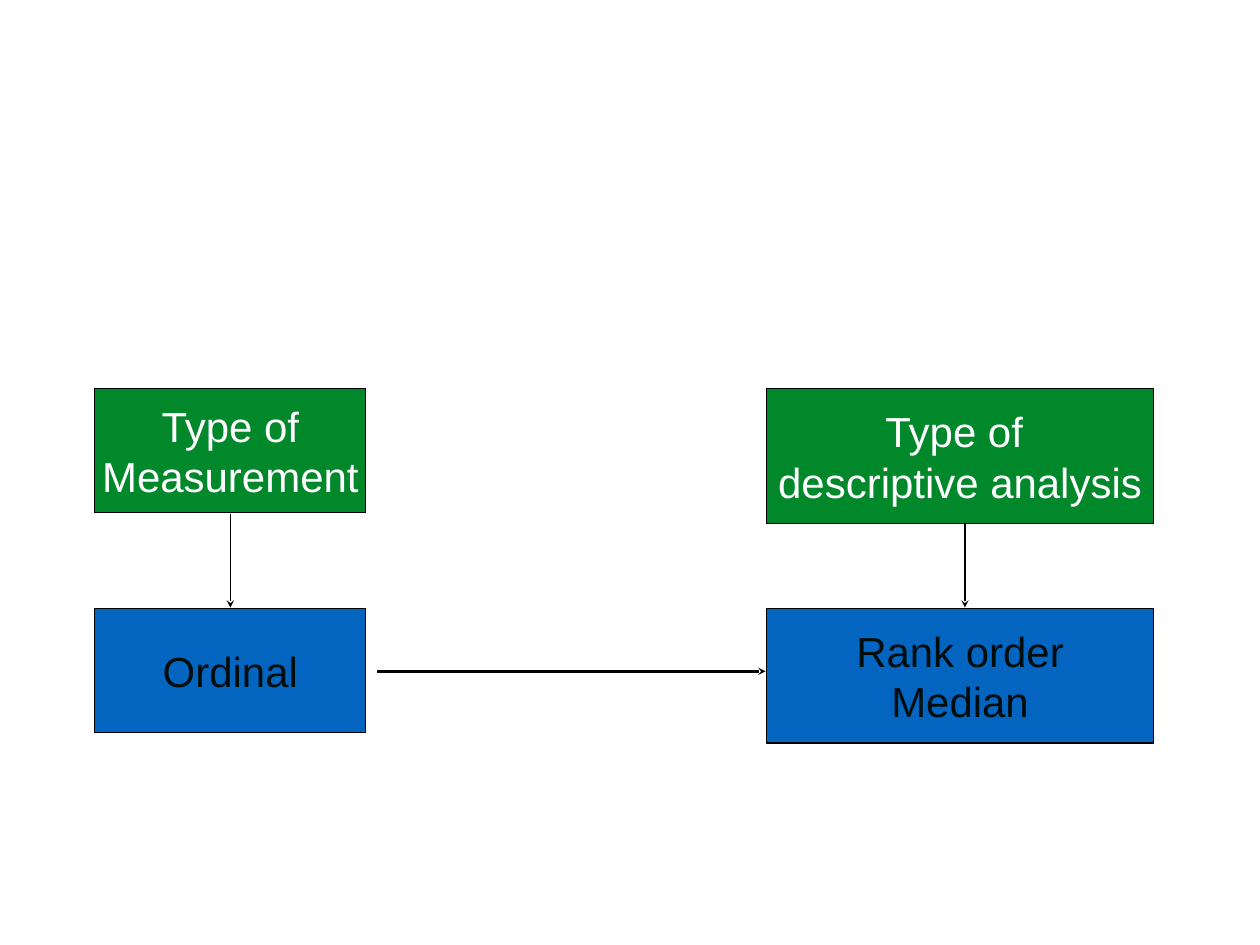
"""Build a slide that links a measurement type to its descriptive analysis."""
from dataclasses import dataclass

from lxml.etree import SubElement
from pptx import Presentation
from pptx.dml.color import RGBColor
from pptx.enum.shapes import MSO_CONNECTOR as Connector, MSO_SHAPE as Preset
from pptx.enum.text import MSO_ANCHOR as Anchor, PP_ALIGN as Align
from pptx.oxml.ns import qn
from pptx.slide import Slide
from pptx.util import Emu, Pt

PX = 9144
GREEN, BLUE = "00882B", "0365C0"
WHITE, INK, BLACK = "FFFFFF", "000D0D", "000000"
HEADING_TOP, RESULT_TOP = 439, 687


@dataclass(frozen=True)
class Column:
    left: int
    width: int
    height: int
    arrow_x: int
    heading: str
    result: str


@dataclass(frozen=True)
class Box:
    left: int
    top: int
    width: int
    height: int
    label: str
    fill: str
    ink: str


@dataclass(frozen=True)
class Arrow:
    start: tuple[int, int]
    end: tuple[int, int]
    weight: int = 1


COLUMNS = [
    Column(107, 306, 140, 260, "Type of\nMeasurement", "Ordinal"),
    Column(865, 437, 152, 1089, "Type of \ndescriptive analysis", "Rank order\nMedian"),
]


def px(length: int) -> Emu:
    """Turn px into EMU."""
    return Emu(length * PX)


def colour(code: str) -> RGBColor:
    """Turn a hex string into a colour."""
    return RGBColor.from_string(code)


def draw_box(slide: Slide, box: Box) -> None:
    """Draw a filled box with its centred label."""
    panel = slide.shapes.add_shape(
        Preset.RECTANGLE, px(box.left), px(box.top), px(box.width), px(box.height))
    panel.shadow.inherit = False
    panel.fill.solid()
    panel.fill.fore_color.rgb = colour(box.fill)
    panel.line.color.rgb = colour(BLACK)
    panel.line.width = Pt(1)
    label = panel.text_frame
    label.text = box.label
    frame_format = {
        "word_wrap": False, "vertical_anchor": Anchor.MIDDLE,
        "margin_left": px(14), "margin_right": px(14),
        "margin_top": px(7), "margin_bottom": px(7),
    }
    for attribute, setting in frame_format.items():
        setattr(label, attribute, setting)
    for row in label.paragraphs:
        row.alignment = Align.CENTER
        for words in row.runs:
            for attribute, setting in {"name": "Arial", "size": Pt(34.1)}.items():
                setattr(words.font, attribute, setting)
            words.font.color.rgb = colour(box.ink)


def draw_arrow(slide: Slide, arrow: Arrow) -> None:
    """Draw a straight line with a stealth arrowhead at its end."""
    link = slide.shapes.add_connector(
        Connector.STRAIGHT, *map(px, arrow.start + arrow.end))
    link.line.color.rgb = colour(BLACK)
    link.line.width = Pt(arrow.weight)
    properties = link._element.spPr
    SubElement(properties.find(qn("a:ln")), qn("a:tailEnd"), type="stealth")
    SubElement(properties, qn("a:effectLst"))


def main() -> None:
    """Build and save the slide."""
    deck = Presentation()
    deck.slide_width, deck.slide_height = px(1422), px(1067)
    slide = deck.slides.add_slide(deck.slide_layouts[6])
    for column in COLUMNS:
        size = (column.width, column.height)
        draw_box(slide, Box(column.left, HEADING_TOP, *size, column.heading, GREEN, WHITE))
        draw_box(slide, Box(column.left, RESULT_TOP, *size, column.result, BLUE, INK))
        heading_bottom = HEADING_TOP + column.height
        draw_arrow(slide, Arrow((column.arrow_x, heading_bottom + 1),
                                (column.arrow_x, RESULT_TOP - 1)))
    draw_arrow(slide, Arrow((426, 758), (864, 758), 2))
    deck.save("out.pptx")


if __name__ == "__main__":
    main()
